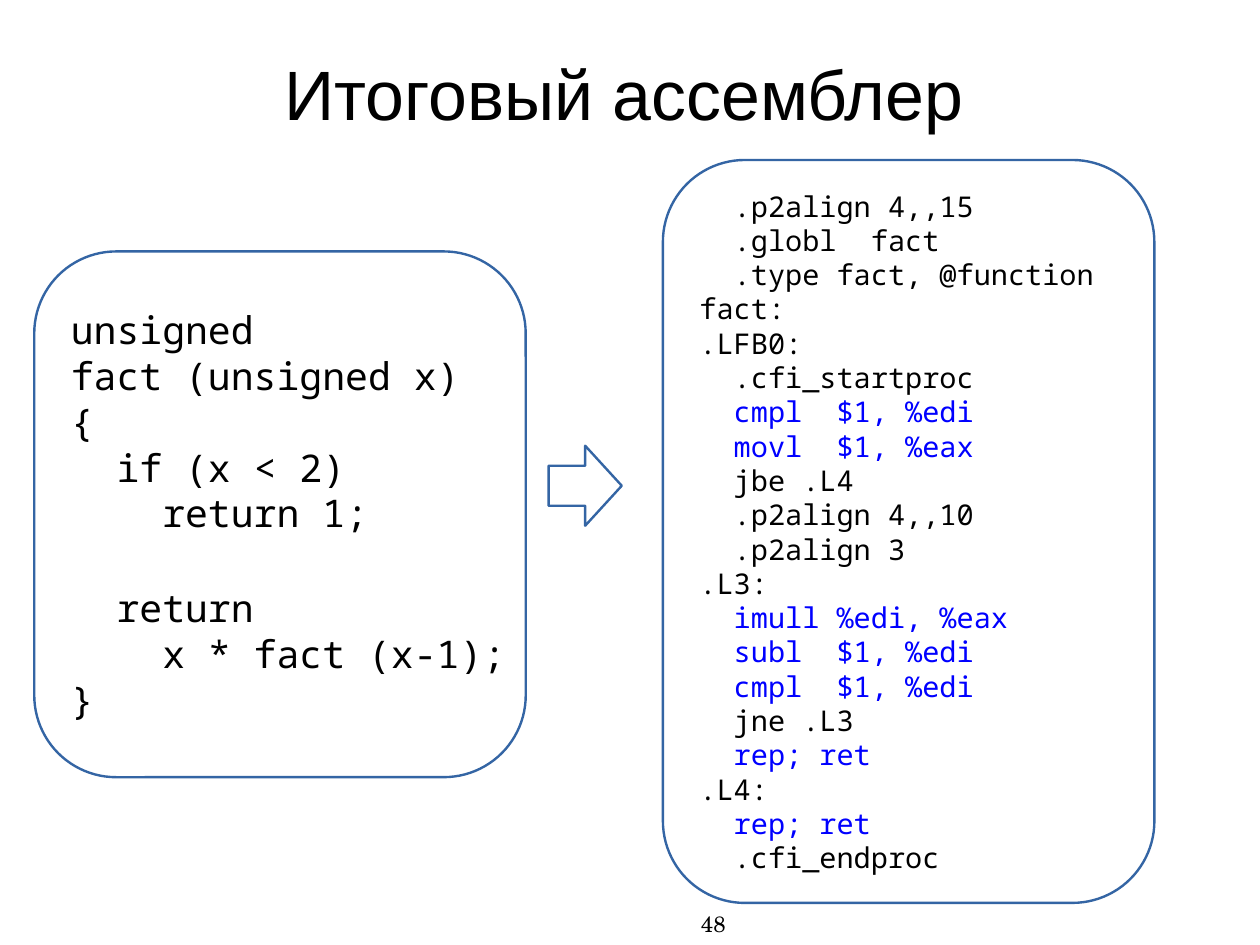
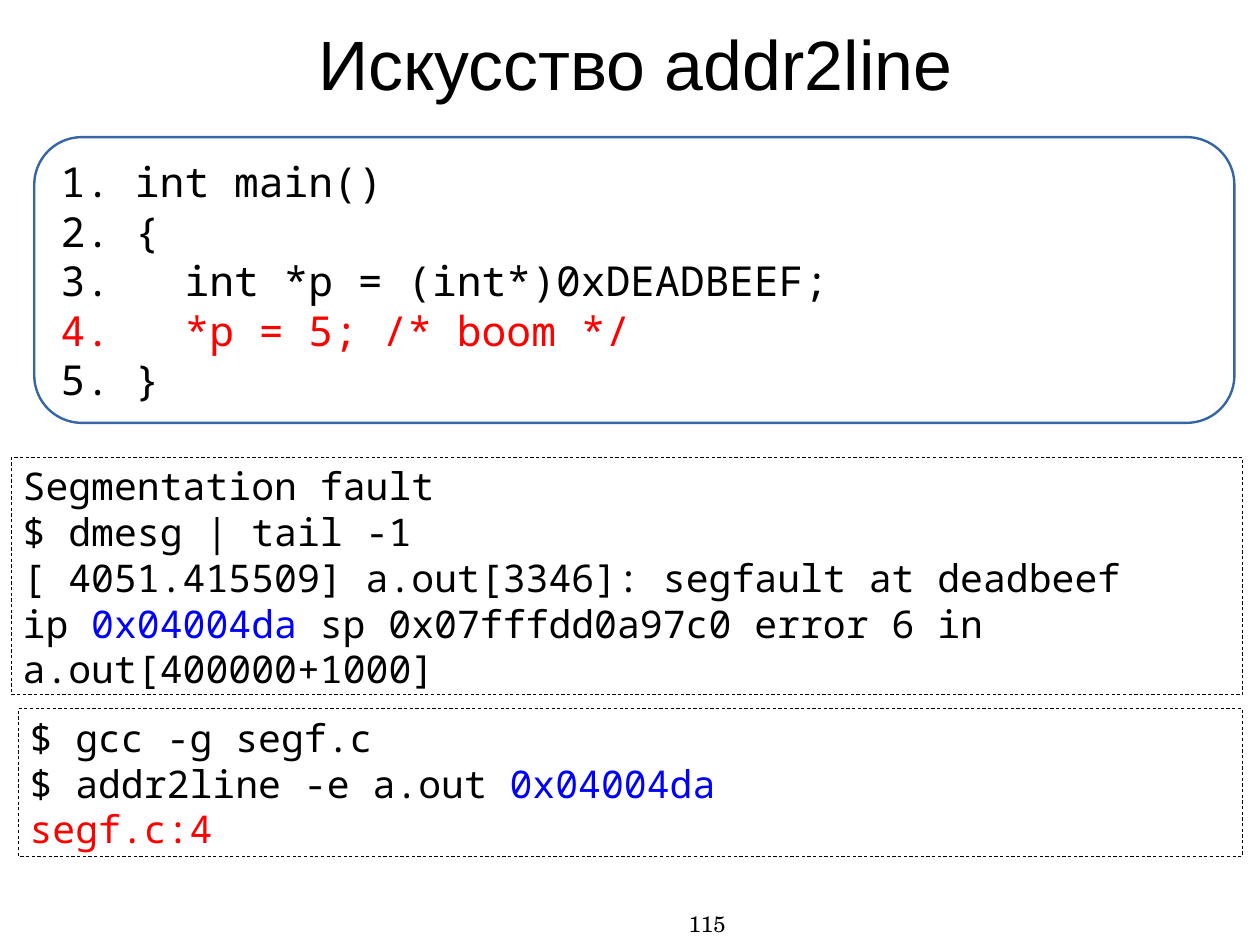
from dataclasses import dataclass

from pptx import Presentation
from pptx.dml.color import RGBColor
from pptx.enum.dml import MSO_LINE
from pptx.enum.shapes import MSO_SHAPE
from pptx.enum.text import MSO_ANCHOR, MSO_AUTO_SIZE, PP_ALIGN
from pptx.util import Cm, Inches, Pt


@dataclass(frozen=True)
class Theme:
    ink: RGBColor = RGBColor(0, 0, 0)
    paper: RGBColor = RGBColor(255, 255, 255)
    outline: RGBColor = RGBColor(0x34, 0x65, 0xA4)
    blue: RGBColor = RGBColor(0, 0, 255)
    red: RGBColor = RGBColor(255, 0, 0)
    title_font: str = "Arial"
    code_font: str = "Noto Sans Mono"
    number_font: str = "TeX Gyre Schola"
    title_size: int = 44
    large_size: int = 26
    code_size: int = 24
    small_size: int = 18
    number_size: int = 14


THEME = Theme()


class SlideBuilder:
    """Builds styled slides and keeps the current one."""

    def __init__(self, theme, deck):
        self.theme = theme
        self.deck = deck
        self.page = None

    def start(self, title, number, place):
        self.page = self.deck.slides.add_slide(self.deck.slide_layouts[5])
        box = self.page.shapes.title
        box.left, box.top, box.width, box.height = map(Inches, place)
        frame = self.frame(box, (0, 0), MSO_ANCHOR.MIDDLE)
        self.line(frame.paragraphs[0], title, self.theme.title_font,
                  self.theme.title_size, PP_ALIGN.CENTER)
        self.number(number)

    def number(self, number):
        box = self.page.shapes.add_textbox(
            Inches(3.78), Inches(7.96), Inches(2.57), Inches(0.31))
        frame = self.frame(box, (0, 0))
        self.line(frame.paragraphs[0], str(number), self.theme.number_font,
                  self.theme.number_size, PP_ALIGN.RIGHT)

    def frame(self, box, margins, anchor=MSO_ANCHOR.TOP, wrap=True):
        frame = box.text_frame
        frame.auto_size = MSO_AUTO_SIZE.NONE
        frame.word_wrap = wrap
        frame.vertical_anchor = anchor
        frame.margin_left = frame.margin_right = Inches(margins[0])
        frame.margin_top = frame.margin_bottom = Inches(margins[1])
        return frame

    def line(self, para, spans, font, size, align=PP_ALIGN.LEFT):
        if isinstance(spans, str):
            spans = [(spans, self.theme.ink)]
        para.alignment = align
        para.font.name = font
        para.font.size = Pt(size)
        colors = {color for _, color in spans}
        if len(colors) == 1:
            para.font.color.rgb = spans[0][1]
        for text, color in spans:
            span = para.add_run()
            span.text = text
            if len(colors) > 1:
                span.font.color.rgb = color

    def code(self, frame, lines, size):
        for index, spans in enumerate(lines):
            para = frame.add_paragraph() if index else frame.paragraphs[0]
            self.line(para, spans, self.theme.code_font, size)

    def shape(self, kind, place):
        box = self.page.shapes.add_shape(kind, *map(Inches, place))
        box.shadow.inherit = False
        box.fill.solid()
        box.fill.fore_color.rgb = self.theme.paper
        box.line.color.rgb = self.theme.outline
        box.line.width = Pt(1.5)
        return box

    def listing(self, place, lines, size):
        box = self.shape(MSO_SHAPE.ROUNDED_RECTANGLE, place)
        frame = self.frame(box, (0.11, 0.06), MSO_ANCHOR.MIDDLE, wrap=False)
        self.code(frame, lines, size)
        return frame

    def arrow(self, place):
        self.shape(MSO_SHAPE.RIGHT_ARROW, place)

    def terminal(self, place, lines):
        box = self.shape(MSO_SHAPE.RECTANGLE, place)
        box.fill.background()
        box.line.color.rgb = self.theme.ink
        box.line.width = Pt(0.5)
        box.line.dash_style = MSO_LINE.DASH
        self.code(self.frame(box, (0.1, 0.05)), lines, self.theme.code_size)


def blue(text):
    return [(text, THEME.blue)]


def red(text):
    return [(text, THEME.red)]


def black(text):
    return [(text, THEME.ink)]


ASSEMBLER = [
    "  .p2align 4,,15",
    "  .globl  fact",
    "  .type fact, @function",
    "fact:",
    ".LFB0:",
    "  .cfi_startproc",
    blue("  cmpl  $1, %edi"),
    blue("  movl  $1, %eax"),
    "  jbe .L4",
    "  .p2align 4,,10",
    "  .p2align 3",
    ".L3:",
    blue("  imull %edi, %eax"),
    blue("  subl  $1, %edi"),
    blue("  cmpl  $1, %edi"),
    "  jne .L3",
    blue("  rep; ret"),
    ".L4:",
    blue("  rep; ret"),
    "  .cfi_endproc",
]

FACTORIAL = [
    "unsigned",
    "fact (unsigned x)",
    "{",
    "  if (x < 2)",
    "    return 1;",
    "  return",
    "    x * fact (x-1);",
    "}",
]

CRASH = [
    "1. int main()",
    "2. {",
    "3.   int *p = (int*)0xDEADBEEF;",
    red("4.   *p = 5; /* boom */"),
    "5. }",
]

ADDRESS = blue("0x04004da")

KERNEL_LOG = [
    "Segmentation fault",
    "$ dmesg | tail -1",
    "[ 4051.415509] a.out[3346]: segfault at deadbeef",
    black("ip ") + ADDRESS
    + black(" sp 0x07fffdd0a97c0 error 6 in a.out[400000+1000]"),
]

LOOKUP = [
    "$ gcc -g segf.c",
    black("$ addr2line -e a.out ") + ADDRESS,
    red("segf.c:4"),
]


def main():
    deck = Presentation()
    deck.slide_width = Cm(28)
    deck.slide_height = Cm(21)
    builder = SlideBuilder(THEME, deck)

    builder.start("Итоговый ассемблер", 48, (0.5, 0.12, 9.92, 1.38))
    builder.listing((5.8, 1.4, 4.3, 6.5), ASSEMBLER, THEME.small_size)
    source = builder.listing((0.3, 2.2, 4.3, 4.6), FACTORIAL, THEME.code_size)
    source.paragraphs[FACTORIAL.index("  return")].space_before = Pt(31)
    builder.arrow((4.8, 3.9, 0.64, 0.7))

    builder.start("Искусство addr2line", 115, (0.6, 0.1, 9.92, 0.9))
    builder.listing((0.3, 1.2, 10.5, 2.5), CRASH, THEME.large_size)
    builder.terminal((0.1, 4, 10.77, 2.08), KERNEL_LOG)
    builder.terminal((0.16, 6.2, 10.71, 1.29), LOOKUP)

    deck.save("out.pptx")


if __name__ == "__main__":
    main()
